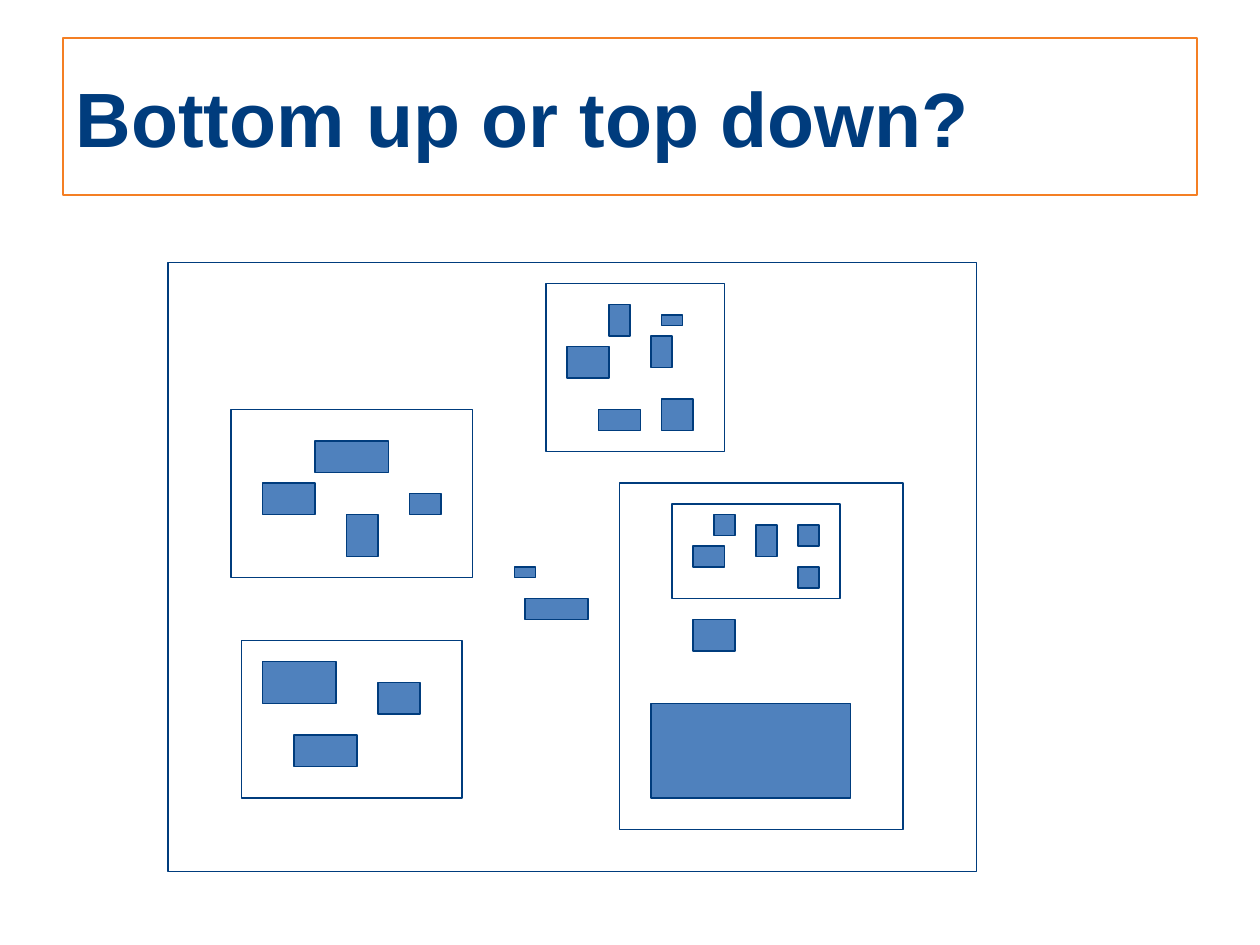
from dataclasses import dataclass

from pptx import Presentation
from pptx.dml.color import RGBColor
from pptx.enum.shapes import MSO_SHAPE
from pptx.enum.text import MSO_ANCHOR, PP_ALIGN
from pptx.util import Inches, Pt


@dataclass(frozen=True)
class Theme:
    font: str = "Arial"
    title_size: Pt = Pt(44)
    line_width: Pt = Pt(1)
    navy: RGBColor = RGBColor(0x00, 0x3C, 0x7D)
    blue: RGBColor = RGBColor(0x4F, 0x81, 0xBD)
    orange: RGBColor = RGBColor(0xF4, 0x7F, 0x24)


THEME = Theme()
COLUMNS, ROWS = 120, 90
TITLE = "Bottom up or top down?"
TITLE_AREA = (6, 3.6, 108, 15)

# Each area is (column, row, columns wide, rows high).
CLUSTERS = [
    {"frame": (16, 25, 77, 58),
     "parts": [(49, 54, 2, 1), (50, 57, 6, 2)]},
    {"frame": (23, 61, 21, 15),
     "parts": [(25, 63, 7, 4), (28, 70, 6, 3), (36, 65, 4, 3)]},
    {"frame": (22, 39, 23, 16),
     "parts": [(25, 46, 5, 3), (33, 49, 3, 4), (30, 42, 7, 3), (39, 47, 3, 2)]},
    {"frame": (52, 27, 17, 16),
     "parts": [(54, 33, 4, 3), (57, 39, 4, 2), (62, 32, 2, 3),
               (63, 38, 3, 3), (58, 29, 2, 3), (63, 30, 2, 1)]},
    {"frame": (59, 46, 27, 33),
     "parts": [(62, 67, 19, 9), (66, 59, 4, 3)]},
    {"frame": (64, 48, 16, 9),
     "parts": [(66, 52, 3, 2), (68, 49, 2, 2), (72, 50, 2, 3),
               (76, 50, 2, 2), (76, 54, 2, 2)]},
]

deck = Presentation()
deck.slide_width, deck.slide_height = Inches(10), Inches(7.5)
slide = deck.slides.add_slide(deck.slide_layouts[5])


def place(area):
    column, row, wide, high = area
    cell_width = deck.slide_width / COLUMNS
    cell_height = deck.slide_height / ROWS
    return (round(column * cell_width), round(row * cell_height),
            round(wide * cell_width), round(high * cell_height))


def outline(shape, color):
    shape.line.color.rgb = color
    shape.line.width = THEME.line_width


def add_box(area, fill=None):
    box = slide.shapes.add_shape(MSO_SHAPE.RECTANGLE, *place(area))
    box.shadow.inherit = False
    outline(box, THEME.navy)
    if fill is None:
        box.fill.background()
    else:
        box.fill.solid()
        box.fill.fore_color.rgb = fill


def add_title():
    title = slide.shapes.title
    title.left, title.top, title.width, title.height = place(TITLE_AREA)
    outline(title, THEME.orange)
    title.text_frame.text = TITLE
    title.text_frame.vertical_anchor = MSO_ANCHOR.MIDDLE
    heading = title.text_frame.paragraphs[0]
    heading.alignment = PP_ALIGN.LEFT
    font = heading.runs[0].font
    font.name, font.size, font.bold = THEME.font, THEME.title_size, True
    font.color.rgb = THEME.navy


add_title()
for cluster in CLUSTERS:
    add_box(cluster["frame"])
    for part in cluster["parts"]:
        add_box(part, THEME.blue)

deck.save("out.pptx")
